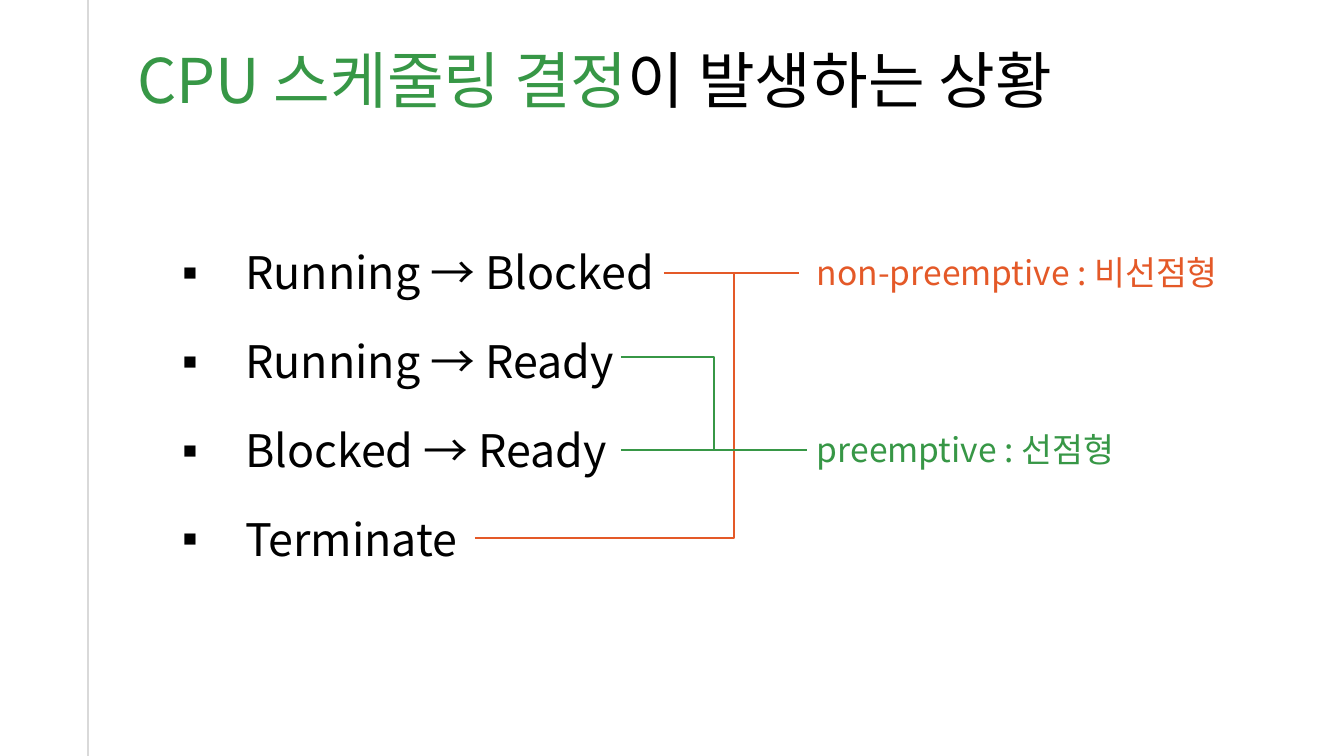
from lxml.etree import SubElement
from pptx import Presentation
from pptx.dml.color import RGBColor
from pptx.enum.shapes import MSO_CONNECTOR
from pptx.enum.text import MSO_ANCHOR, MSO_AUTO_SIZE, PP_ALIGN
from pptx.oxml.ns import qn
from pptx.util import Pt

PX = 12192000 / 1344
FONT = "Noto Sans CJK KR"
GREEN, RED, BLACK, GREY = "379746", "E45928", "000000", "D9D9D9"
STATES = ["Running → Blocked", "Running → Ready", "Blocked → Ready", "Terminate"]


def px(num):
    """Turn pixels into EMU."""
    return round(num * PX)


def color(fmt, code):
    """Set a colour from a hex string."""
    fmt.rgb = RGBColor.from_string(code)


def put(item, **vals):
    """Set each given attribute of an item."""
    for key, val in vals.items():
        setattr(item, key, val)


def place(shape, box, anchor=MSO_ANCHOR.TOP):
    """Move a text shape to its box and set up its frame."""
    put(shape, **dict(zip(("left", "top", "width", "height"), map(px, box))))
    put(shape.text_frame, word_wrap=True, auto_size=MSO_AUTO_SIZE.NONE,
        vertical_anchor=anchor)
    return shape.text_frame


def write(para, runs, size, gap=0):
    """Fill a paragraph with coloured runs."""
    put(para, alignment=PP_ALIGN.LEFT, line_spacing=1.0,
        space_before=Pt(0), space_after=Pt(gap))
    for text, code in runs:
        run = para.add_run()
        run.text = text
        put(run.font, name=FONT, size=Pt(size))
        color(run.font.color, code)
        SubElement(run.font._element, qn("a:ea"), typeface=FONT)


def line(slide, start, end, code, bend=None):
    """Draw a straight line, or an elbow that turns at a share of its width."""
    kind = MSO_CONNECTOR.STRAIGHT if bend is None else MSO_CONNECTOR.ELBOW
    link = slide.shapes.add_connector(kind, *map(px, start + end))
    link.line.width = Pt(1.5)
    color(link.line.color, code)
    props = link._element.spPr
    SubElement(props, qn("a:effectLst"))
    if bend is not None:
        guide = props.find(qn("a:prstGeom")).get_or_add_avLst()
        SubElement(guide, qn("a:gd"), name="adj1", fmla=f"val {round(bend * 100000)}")


def title(slide, box):
    """Write the two-colour heading."""
    frame = place(slide.shapes.title, box, MSO_ANCHOR.MIDDLE)
    runs = [("CPU 스케줄링 결정", GREEN), ("이 발생하는 상황", BLACK)]
    write(frame.paragraphs[0], runs, 44)


def states(slide, box):
    """Write the bulleted list of state changes."""
    frame = place(slide.placeholders[1], box)
    for num, text in enumerate(STATES):
        para = frame.add_paragraph() if num else frame.paragraphs[0]
        write(para, [(text, BLACK)], 32, 25)
        props = para._p.get_or_add_pPr()
        props.set("marL", str(px(63)))
        props.set("indent", str(px(-63)))
        SubElement(props, qn("a:buFont"), typeface="Arial")
        SubElement(props, qn("a:buChar"), char="▪")


def group(slide, box, text, code, near, far, end, bend):
    """Write a label and join two states to it."""
    left, top, wide, high = box
    frame = place(slide.shapes.add_textbox(0, 0, 0, 0), box)
    write(frame.paragraphs[0], [(text, code)], 24)
    goal = (left + end, top + high // 2 + 1)
    line(slide, (near, goal[1]), goal, code)
    line(slide, far, goal, code, bend)


def main():
    """Build and save the slide."""
    deck = Presentation()
    put(deck, slide_width=px(1344), slide_height=px(756))
    slide = deck.slides.add_slide(deck.slide_layouts[1])
    line(slide, (88, 0), (88, 756), GREY)
    title(slide, (127, 36, 1008, 85))
    states(slide, (172, 240, 536, 331))
    group(slide, (807, 247, 423, 50), "non-preemptive : 비선점형", RED,
          664, (475, 538), -8, 0.8)
    group(slide, (807, 424, 423, 50), "preemptive : 선점형", GREEN,
          621, (621, 357), 0, 0.5)
    deck.save("out.pptx")


if __name__ == "__main__":
    main()
